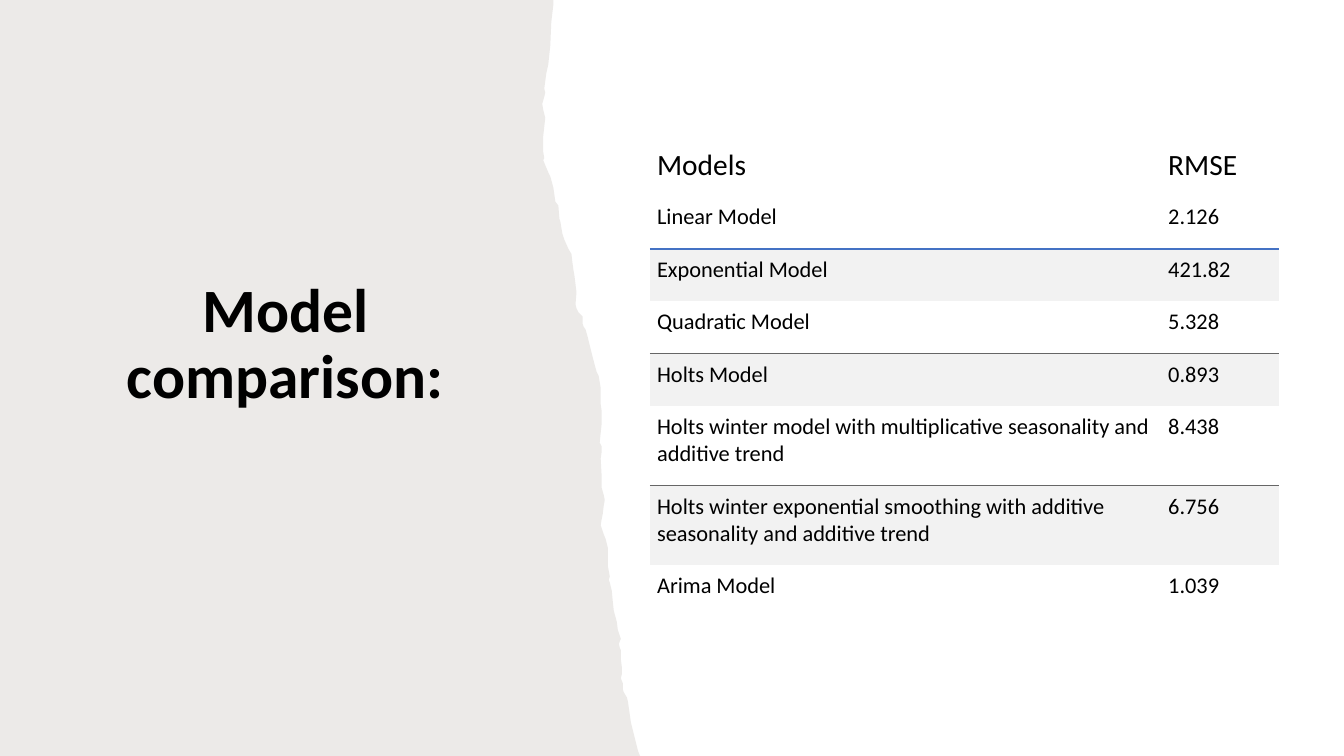
from dataclasses import dataclass
from typing import Optional

from lxml.etree import SubElement
from pptx import Presentation
from pptx.dml.color import RGBColor
from pptx.enum.text import MSO_ANCHOR as Anchor, MSO_AUTO_SIZE as AutoSize, PP_ALIGN as Align
from pptx.oxml import parse_xml
from pptx.oxml.ns import nsdecls, qn
from pptx.slide import Slide
from pptx.util import Cm, Pt

FONT = "Calibri"
BLACK = RGBColor(0x00, 0x00, 0x00)
BLUE = RGBColor(0x44, 0x72, 0xC4)
GRAY = RGBColor(0x66, 0x66, 0x66)
BAND = RGBColor(0xF2, 0xF2, 0xF2)
PAPER = RGBColor(0x82, 0x76, 0x6A)
PAPER_OPACITY = 15
PLAIN_TABLE_STYLE = "{2D5ABB26-0587-4C30-8999-92F81FD0307C}"

# Torn edge from top to bottom, in hundredths of an inch
EDGE_UNIT = Cm(2.54) / 100
PAGE_BOTTOM = 750
TORN_EDGE = [
    (549, 0), (549, 5), (547, 22), (546, 45), (544, 64), (542, 73), (540, 88),
    (541, 92), (540, 96), (538, 103), (539, 109), (541, 117), (539, 135),
    (539, 151), (540, 157), (539, 159), (541, 164), (544, 171), (546, 175),
    (549, 186), (551, 200), (554, 204), (555, 217), (556, 220), (557, 226),
    (558, 232), (560, 238), (564, 247), (567, 252), (568, 261), (569, 268),
    (570, 274), (572, 290), (571, 302), (572, 306), (574, 310), (578, 314),
    (578, 321), (579, 324), (581, 327), (583, 334), (584, 338), (587, 350),
    (590, 362), (592, 369), (594, 373), (596, 385), (596, 401), (597, 408),
    (597, 420), (595, 439), (597, 443), (597, 448), (596, 455), (597, 473),
    (597, 484), (599, 491), (600, 496), (599, 502), (598, 510), (597, 515),
    (596, 521), (597, 524), (599, 530), (601, 535), (603, 543), (603, 561),
    (605, 572), (604, 575), (605, 578), (607, 586), (608, 597), (609, 606),
    (612, 617), (613, 625), (616, 634), (615, 636), (614, 639), (615, 643),
    (616, 645), (616, 654), (617, 662), (617, 669), (616, 673), (618, 678),
    (618, 684), (619, 687), (622, 692), (623, 696), (626, 717), (633, 745),
    (635, PAGE_BOTTOM),
]


@dataclass
class Row:
    model: str
    rmse: str
    height: float = 1.32
    size: int = 16
    anchor: Anchor = Anchor.TOP
    fill: Optional[RGBColor] = None
    rule: Optional[RGBColor] = None
    rule_width: float = 0.5


ROWS = [
    Row("Models", "RMSE", height=1.55, size=21, anchor=Anchor.BOTTOM),
    Row("Linear Model", "2.126", rule=BLUE, rule_width=1.5),
    Row("Exponential Model", "421.82", fill=BAND),
    Row("Quadratic Model", "5.328", rule=GRAY),
    Row("Holts Model", "0.893", fill=BAND),
    Row("Holts winter model with multiplicative seasonality and additive trend",
        "8.438", height=2.01, rule=GRAY),
    Row("Holts winter exponential smoothing with additive seasonality and additive trend",
        "6.756", height=2.01, fill=BAND),
    Row("Arima Model", "1.039"),
]
COLUMN_WIDTHS = (12.88, 2.97)


def draw_torn_paper(page: Slide) -> None:
    builder = page.shapes.build_freeform(0, 0, scale=EDGE_UNIT)
    builder.add_line_segments(TORN_EDGE + [(0, PAGE_BOTTOM)], close=True)
    paper = builder.convert_to_shape()
    paper.shadow.inherit = False
    paper.line.fill.background()
    paper.fill.solid()
    paper.fill.fore_color.rgb = PAPER
    color = paper.element.spPr.find(qn("a:solidFill")).find(qn("a:srgbClr"))
    SubElement(color, qn("a:alpha"), val=str(PAPER_OPACITY * 1000))
    page.shapes.title.element.addprevious(paper.element)


def write_title(page: Slide, text: str) -> None:
    title = page.shapes.title
    title.left, title.top, title.width, title.height = Cm(2.16), Cm(2.74), Cm(10.06), Cm(7.77)
    frame = title.text_frame
    frame.text = text
    frame.word_wrap = True
    frame.auto_size = AutoSize.NONE
    frame.vertical_anchor = Anchor.BOTTOM
    para = frame.paragraphs[0]
    para.alignment = Align.CENTER
    para.line_spacing = 0.9
    font = para.runs[0].font
    font.name, font.size, font.bold = FONT, Pt(44), True
    font.color.rgb = BLACK


def fill_cell(cell, text: str, row: Row) -> None:
    cell.text = text
    cell.margin_left = cell.margin_right = cell.margin_top = Cm(0.18)
    cell.margin_bottom = Cm(0.33)
    cell.vertical_anchor = row.anchor
    font = cell.text_frame.paragraphs[0].runs[0].font
    font.name, font.size = FONT, Pt(row.size)
    font.color.rgb = BLACK
    if row.fill is None:
        cell.fill.background()
    else:
        cell.fill.solid()
        cell.fill.fore_color.rgb = row.fill
    if row.rule is not None:
        border = parse_xml(
            f'<a:lnB {nsdecls("a")} w="{Pt(row.rule_width)}"><a:solidFill>'
            f'<a:srgbClr val="{row.rule}"/></a:solidFill></a:lnB>')
        cell.fill  # the border element precedes the fill element
        next(cell._tc.iter(qn("a:tcPr"))).insert(0, border)


def draw_table(page: Slide) -> None:
    frame = page.shapes.add_table(
        len(ROWS), len(COLUMN_WIDTHS), Cm(16.38), Cm(3.4),
        Cm(sum(COLUMN_WIDTHS)), Cm(sum(row.height for row in ROWS)))
    next(frame.element.iter(qn("a:tableStyleId"))).text = PLAIN_TABLE_STYLE
    table = frame.table
    table.first_row = table.horz_banding = False
    for column, width in zip(table.columns, COLUMN_WIDTHS):
        column.width = Cm(width)
    for table_row, row in zip(table.rows, ROWS):
        table_row.height = Cm(row.height)
        for cell, text in zip(table_row.cells, (row.model, row.rmse)):
            fill_cell(cell, text, row)


def main() -> None:
    deck = Presentation()
    deck.slide_width, deck.slide_height = Cm(33.87), Cm(19.05)
    page = deck.slides.add_slide(deck.slide_layouts[5])
    draw_torn_paper(page)
    write_title(page, "Model comparison:")
    draw_table(page)
    deck.save("out.pptx")


if __name__ == "__main__":
    main()
